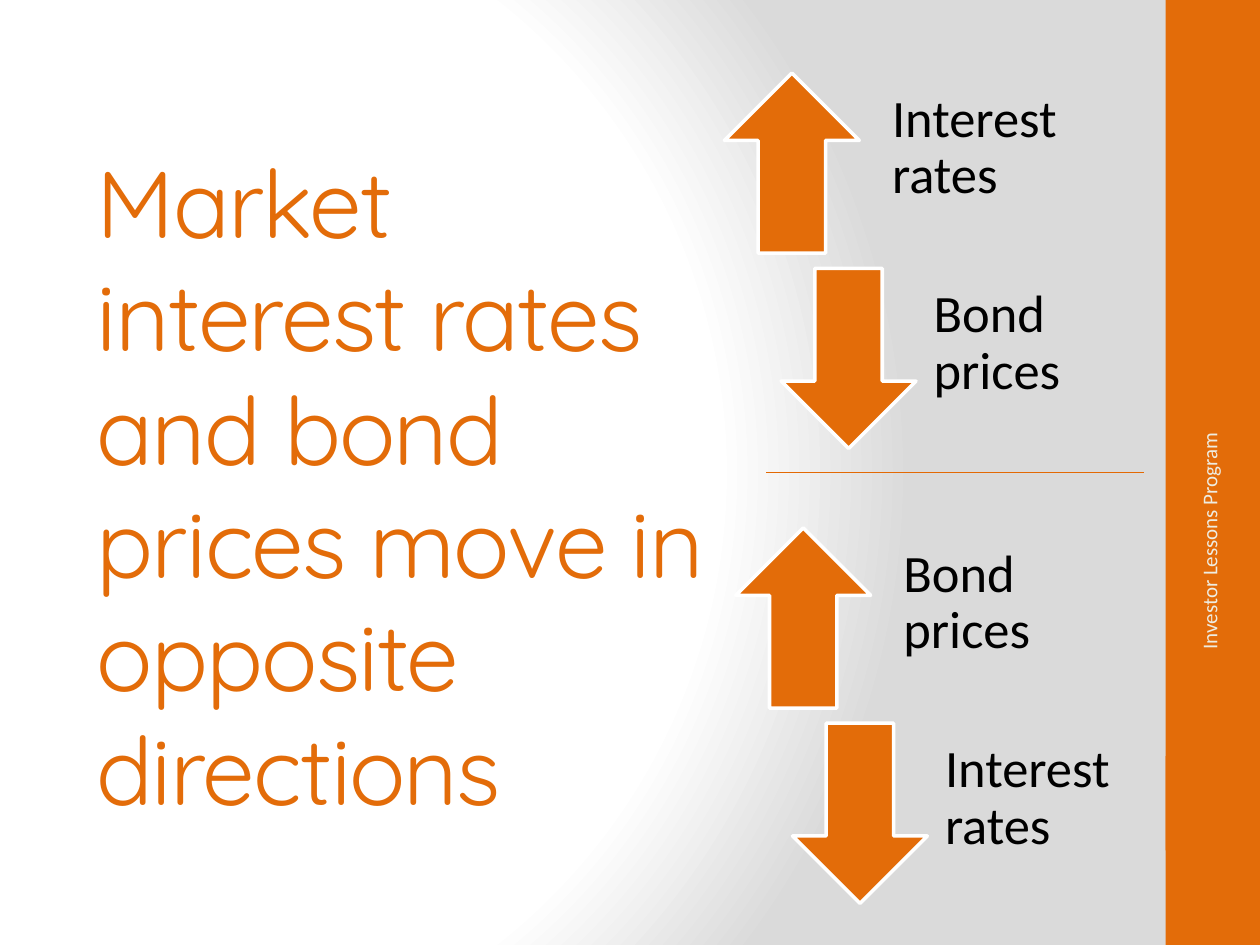
from lxml import etree
from pptx import Presentation, util as u
from pptx.dml.color import RGBColor
from pptx.enum import shapes, text
from pptx.oxml import parse_xml
from pptx.oxml.ns import nsdecls, qn

# Content
TITLE = "Market interest rates and bond prices move in opposite directions"
PROGRAM = "Investor Lessons Program"
PAIRS = [  # left, top, label beside the up arrow, label beside the down arrow
    (5.75, 0.58, "Interest rates", "Bond prices"),
    (5.84, 4.19, "Bond prices", "Interest rates"),
]
ORANGE, WHITE, BLACK, CREAM = "E36C09", "FFFFFF", "000000", "EEECE1"
BACKGROUND = [(0, WHITE), (75, WHITE), (100, "DADADA")]

# Layout
ARROW_WIDTH, ROW_HEIGHT, LABEL_WIDTH = 1.07, 1.43, 1.82
ARROWS = [  # shape, shift right, shift down, distance to the label
    (shapes.MSO_SHAPE.UP_ARROW, 0, 0, 1.1),
    (shapes.MSO_SHAPE.DOWN_ARROW, 0.45, 1.55, 0.98),
]


def color(value):
    return RGBColor.from_string(value)


def inches(*values):
    return [u.Inches(value) for value in values]


def add_block(parent, kind, place, line=None):
    block = parent.add_shape(kind, *inches(*place))
    block.shadow.inherit = False
    block.fill.solid()
    block.fill.fore_color.rgb = color(ORANGE)
    if line:
        block.line.color.rgb = color(line)
        block.line.width = u.Pt(2)
    else:
        block.line.fill.background()


def add_text(parent, words, place, size, font, ink, anchor,
             insets=(0.1, 0.05, 0.1, 0.05)):
    box = parent.add_textbox(*inches(*place))
    frame = box.text_frame
    frame.word_wrap = True
    frame.vertical_anchor = anchor
    (frame.margin_left, frame.margin_top,
     frame.margin_right, frame.margin_bottom) = inches(*insets)
    para = frame.paragraphs[0]
    span = para.add_run()
    span.text = words
    span.font.size = u.Pt(size)
    span.font.name = font
    span.font.color.rgb = color(ink)
    return box, para, span


deck = Presentation()
deck.slide_width, deck.slide_height = inches(10, 7.5)
page = deck.slides.add_slide(deck.slide_layouts[6])

# Radial background
stops = "".join(
    f'<a:gs pos="{pos * 1000}"><a:srgbClr val="{value}"/></a:gs>'
    for pos, value in BACKGROUND)
page.element.cSld.insert(0, parse_xml(
    f'<p:bg {nsdecls("p", "a")}><p:bgPr><a:gradFill rotWithShape="1">'
    f'<a:gsLst>{stops}</a:gsLst><a:path path="circle">'
    '<a:fillToRect l="20000" t="50000" r="100000" b="50000"/></a:path>'
    '</a:gradFill><a:effectLst/></p:bgPr></p:bg>'))

# Side band with its number square
for top, height in [(0, 7.5), (6, 0.75)]:
    add_block(page.shapes, shapes.MSO_SHAPE.RECTANGLE, (9.25, top, 0.75, height))

# Title
_, _, span = add_text(page.shapes, TITLE, (0.67, 0.75, 5.08, 5.84), 54,
                      "Quicksand", ORANGE, text.MSO_ANCHOR.BOTTOM)
span.font._element.set("spc", "-100")

# Program name, reading upwards
box, para, _ = add_text(page.shapes, PROGRAM, (8.3, 4.43, 2.59, 0.4), 12,
                        "Calibri", CREAM, text.MSO_ANCHOR.MIDDLE)
box.rotation = 270
para.alignment = text.PP_ALIGN.RIGHT

# Arrow pairs
for left, top, *labels in PAIRS:
    group = page.shapes.add_group_shape()
    for (kind, right, down, gap), label in zip(ARROWS, labels):
        x, y = left + right, top + down
        add_block(group.shapes, kind, (x, y, ARROW_WIDTH, ROW_HEIGHT), WHITE)
        _, para, _ = add_text(
            group.shapes, label, (x + gap, y, LABEL_WIDTH, ROW_HEIGHT), 30,
            "Calibri", BLACK, text.MSO_ANCHOR.MIDDLE, (0.23, 0, 0.23, 0.23))
        para.line_spacing = 0.9

# Divider
divider = page.shapes.add_connector(
    shapes.MSO_CONNECTOR.STRAIGHT, *inches(6.08, 3.75, 9.08, 3.75))
divider.line.color.rgb = color("E36903")
divider.line.width = u.Pt(1)
etree.SubElement(divider._element.spPr, qn("a:effectLst"))

deck.save("out.pptx")
